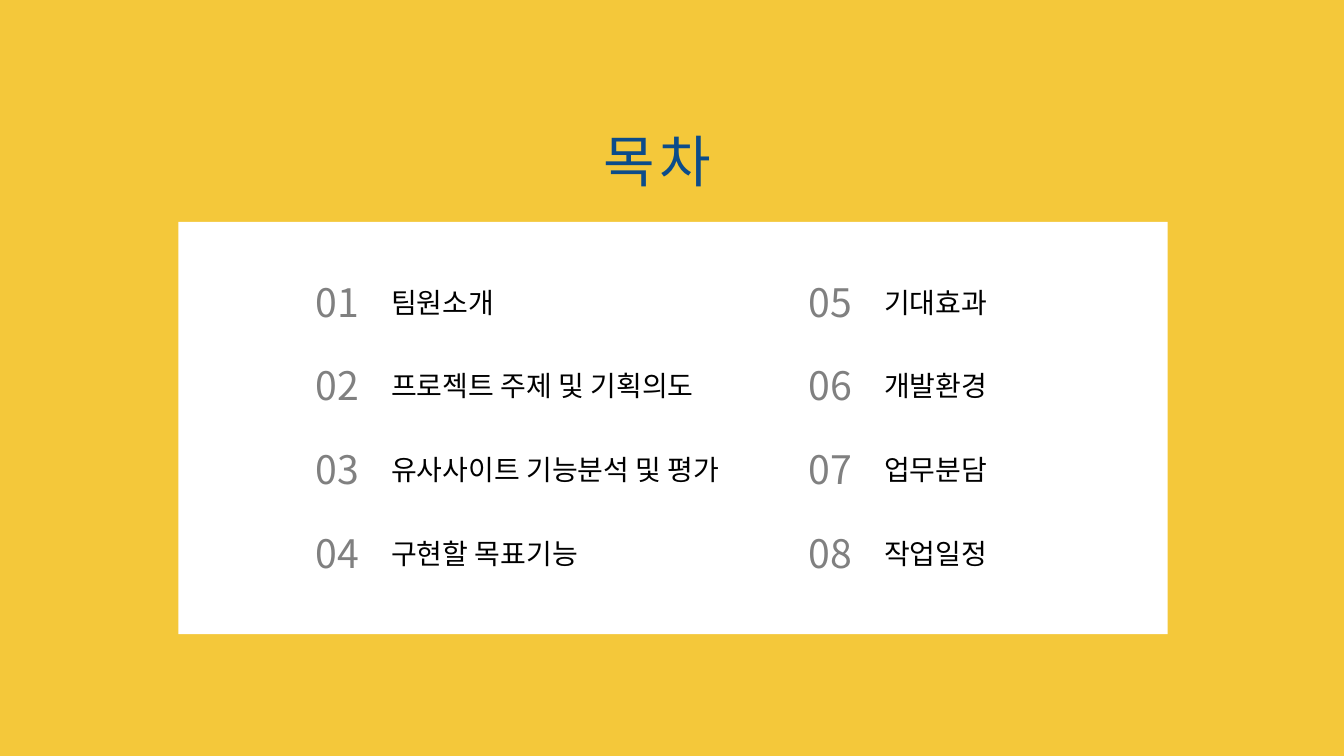
from lxml.etree import SubElement
from pptx import Presentation
from pptx.dml.color import RGBColor
from pptx.enum.shapes import MSO_SHAPE
from pptx.enum.text import MSO_AUTO_SIZE, PP_ALIGN
from pptx.oxml.ns import qn
from pptx.util import Inches, Pt

FONT = "Noto Sans CJK KR"
COLORS = {
    "paper": "FCFBFA",
    "backdrop": "F4C83A",
    "panel": "FFFFFF",
    "title": "0C4C8A",
    "number": "808080",
    "topic": "000000",
}
TOPICS = [
    ["팀원소개", "프로젝트 주제 및 기획의도", "유사사이트 기능분석 및 평가", "구현할 목표기능"],
    ["기대효과", "개발환경", "업무분담", "작업일정"],
]
COLUMNS = [(3.03, 5.06), (7.92, 3.45)]
ROW_PITCH = 0.83
NUMBER_WIDTH = 0.87
TOPIC_INDENT = 0.75


def color(name):
    return RGBColor.from_string(COLORS[name])


def add_panel(shapes, box, fill):
    panel = shapes.add_shape(MSO_SHAPE.RECTANGLE, *map(Inches, box))
    panel.shadow.inherit = False
    panel.fill.solid()
    panel.fill.fore_color.rgb = color(fill)
    panel.line.fill.background()


def add_label(shapes, box, text, size, ink, align=PP_ALIGN.LEFT, spacing=0):
    frame = shapes.add_textbox(*map(Inches, box)).text_frame
    frame.word_wrap = True
    frame.auto_size = MSO_AUTO_SIZE.SHAPE_TO_FIT_TEXT
    paragraph = frame.paragraphs[0]
    paragraph.alignment = align
    run = paragraph.add_run()
    run.text = text
    run.font.size = Pt(size)
    run.font.name = FONT
    run.font.color.rgb = color(ink)
    properties = run.font._element if hasattr(run.font, "_element") else run._r.get_or_add_rPr()
    SubElement(properties, qn("a:ea")).set("typeface", FONT)
    if spacing:
        properties.set("spc", str(spacing * 100))


def add_entry(slide, box, number, topic):
    left, top, width, height = box
    entry = slide.shapes.add_group_shape().shapes
    add_label(entry, (left, top, NUMBER_WIDTH, height), f"{number:02d}", 28, "number")
    add_label(entry, (left + TOPIC_INDENT, top + 0.07, width - TOPIC_INDENT, 0.44),
              topic, 20, "topic")


def add_contents(slide, box):
    add_panel(slide.shapes, box, "panel")
    first_row = box[1] + 0.51
    number = 1
    for (left, width), topics in zip(COLUMNS, TOPICS):
        for row, topic in enumerate(topics):
            add_entry(slide, (left, first_row + row * ROW_PITCH, width, 0.57), number, topic)
            number += 1


def build_contents_slide(presentation):
    slide = presentation.slides.add_slide(presentation.slide_layouts[6])
    slide.background.fill.solid()
    slide.background.fill.fore_color.rgb = color("paper")
    add_panel(slide.shapes, (0, -0.08, 13.33, 7.58), "backdrop")
    add_label(slide.shapes, (5.82, 1.21, 1.4, 0.77), "목차", 40, "title", PP_ALIGN.CENTER, 3)
    add_contents(slide, (1.77, 2.2, 9.81, 4.09))


def main():
    presentation = Presentation()
    presentation.slide_width = Inches(13.33)
    presentation.slide_height = Inches(7.5)
    build_contents_slide(presentation)
    presentation.save("out.pptx")


if __name__ == "__main__":
    main()
